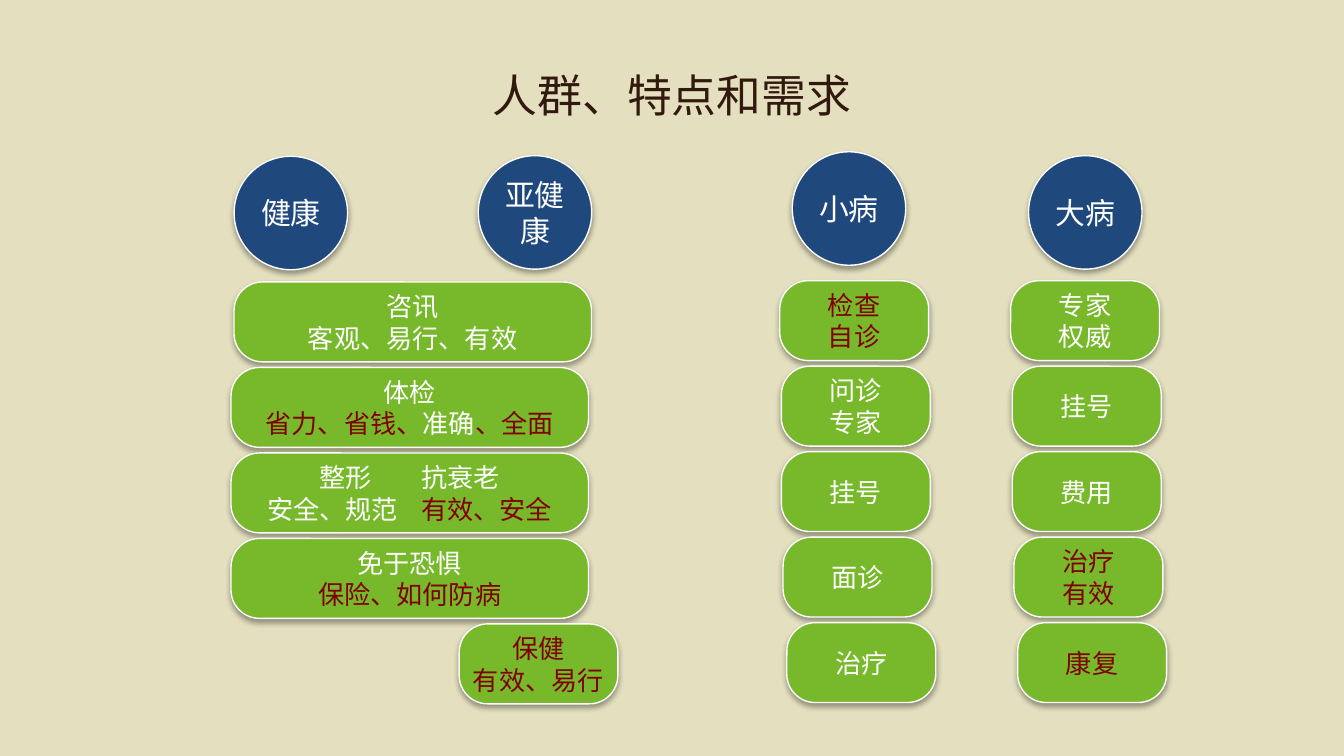
from dataclasses import dataclass

from lxml import etree
from pptx import Presentation
from pptx.dml.color import RGBColor
from pptx.enum import shapes, text
from pptx.oxml import ns
from pptx.util import Pt


@dataclass
class Theme:
    font: str = "Noto Sans CJK SC"
    background: str = "E3DFBF"
    title: str = "32190E"
    circle: str = "1F497D"
    need: str = "77B92A"
    light: str = "FFFFFF"
    accent: str = "800000"
    title_size: int = 24
    circle_size: int = 16
    need_size: int = 14


theme = Theme()


def write_line(para, line, size, color):
    para.alignment = text.PP_ALIGN.CENTER
    for part in line.split("|"):
        span = para.add_run()
        span.text = part.lstrip("*")
        span.font.size = Pt(size)
        span.font.name = theme.font
        shade = theme.accent if part.startswith("*") else color
        span.font.color.rgb = RGBColor.from_string(shade)
        east_asian = etree.SubElement(span.font._element, ns.qn("a:ea"))
        east_asian.set("typeface", theme.font)


def add_box(kind, left, top, width, height, fill, lines, size, inset):
    box = page.shapes.add_shape(kind, Pt(left), Pt(top), Pt(width), Pt(height))
    box.fill.solid()
    box.fill.fore_color.rgb = RGBColor.from_string(fill)
    box.line.color.rgb = RGBColor.from_string(theme.light)
    box.line.width = Pt(0.75)
    box.shadow.inherit = False
    effects = box._element.spPr.find(ns.qn("a:effectLst"))
    shadow = etree.SubElement(effects, ns.qn("a:outerShdw"), blurRad=str(Pt(3.1)),
                              dist=str(Pt(1.8)), dir="5400000", rotWithShape="0")
    black = etree.SubElement(shadow, ns.qn("a:srgbClr"), val="000000")
    etree.SubElement(black, ns.qn("a:alpha"), val="35000")
    frame = box.text_frame
    frame.word_wrap = True
    frame.vertical_anchor = text.MSO_ANCHOR.MIDDLE
    frame.margin_left = frame.margin_right = Pt(2.9)
    frame.margin_top = frame.margin_bottom = Pt(inset)
    for index, line in enumerate(lines):
        para = frame.add_paragraph() if index else frame.paragraphs[0]
        write_line(para, line, size, theme.light)
    return box


deck = Presentation()
deck.slide_width, deck.slide_height = Pt(720), Pt(405)
page = deck.slides.add_slide(deck.slide_layouts[5])
page.background.fill.solid()
page.background.fill.fore_color.rgb = RGBColor.from_string(theme.background)

title = page.shapes.title
title.left, title.top, title.width, title.height = Pt(36), Pt(16.6), Pt(648), Pt(67.7)
title.text_frame.vertical_anchor = text.MSO_ANCHOR.MIDDLE
write_line(title.text_frame.paragraphs[0], "人群、特点和需求", theme.title_size, theme.title)

groups = [("健康", 125.4, 83.7), ("亚健康", 256.2, 83.4),
          ("小病", 424.4, 81.3), ("大病", 551, 83.4)]
for name, left, top in groups:
    add_box(shapes.MSO_SHAPE.OVAL, left, top, 60.8, 60.8, theme.circle,
            [name], theme.circle_size, 3.6)

wellness = [
    ["咨讯", "客观、易行、有效"],
    ["体检", "*省力、省钱、|准确|*、全面"],
    ["\t整形\t抗衰老", "\t安全、规范\t|*有效、安全"],
    ["免于恐惧", "*保险、如何防病"],
    ["*保健", "*有效、易行"],
]
minor_illness = [["*检查", "*自诊"], ["问诊", "专家"], ["挂号"], ["面诊"], ["治疗"]]
major_illness = [["专家", "权威"], ["挂号"], ["费用"], ["*治疗", "*有效"], ["*康复"]]

wide, narrow = 191.5, 79.8
drift = [0, 0.9, 0.9, 1.8, 3.8]
columns = [
    (wellness, 151.1, [(125.4, wide)] + [(123.8, wide)] * 3 + [(246, 85)]),
    (minor_illness, 150.4, [(417.7 + shift, narrow) for shift in drift]),
    (major_illness, 150.4, [(541.4 + shift, narrow) for shift in drift]),
]
pitch, height = 45.8, 42.8
need_boxes = []
for needs, first_top, spans in columns:
    for row, (lines, (left, width)) in enumerate(zip(needs, spans)):
        box = add_box(shapes.MSO_SHAPE.ROUNDED_RECTANGLE, left, first_top + row * pitch,
                      width, height, theme.need, lines, theme.need_size, 0)
        box.adjustments[0] = 0.356
        need_boxes.append(box)

cosmetic_box = need_boxes[2]
for para, first_stop in zip(cosmetic_box.text_frame.paragraphs, (40, 12)):
    para.alignment = text.PP_ALIGN.LEFT
    stops = etree.SubElement(para._p.get_or_add_pPr(), ns.qn("a:tabLst"))
    for stop in (first_stop, 94.5):
        etree.SubElement(stops, ns.qn("a:tab"), pos=str(Pt(stop)), algn="l")

deck.save("out.pptx")
